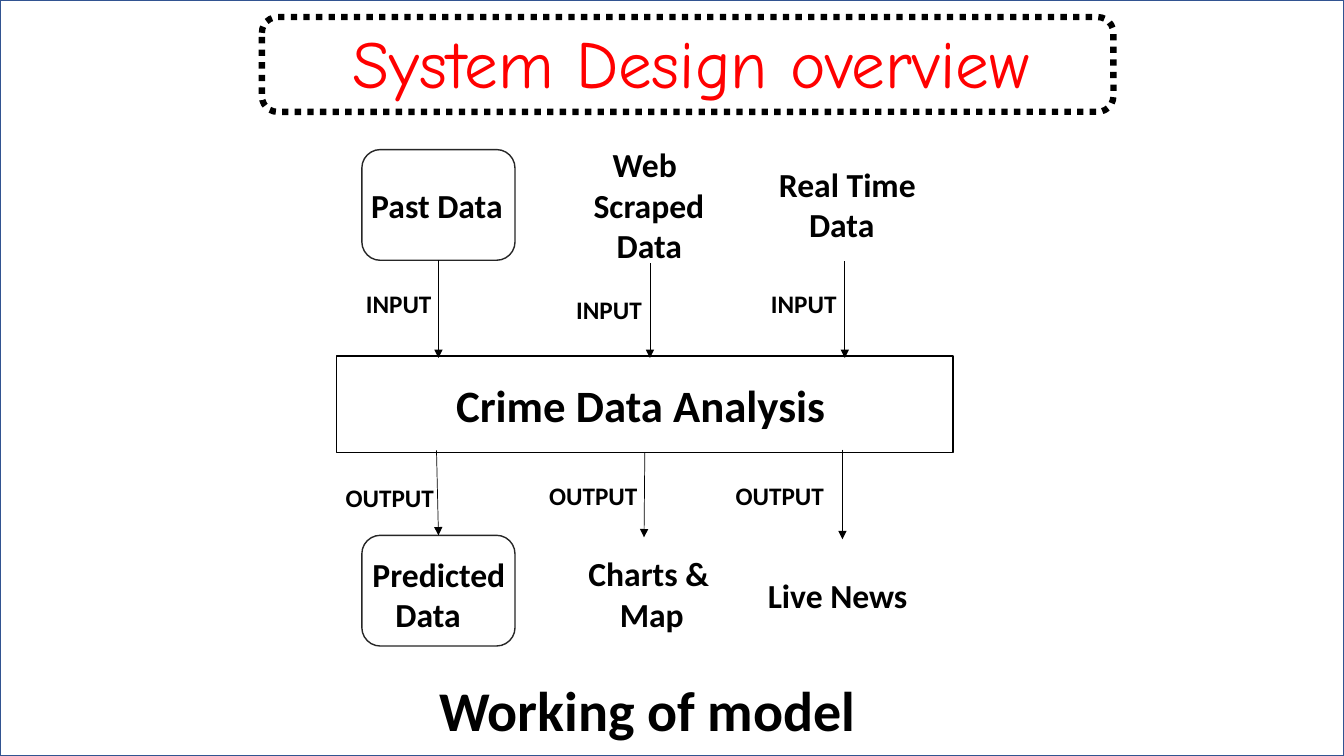
import pptx
import pptx.util
import pptx.dml.color
import pptx.enum.dml
import pptx.enum.shapes
import pptx.enum.text
import pptx.oxml
from pptx.oxml.ns import qn

Cm, Pt = pptx.util.Cm, pptx.util.Pt
RGBColor = pptx.dml.color.RGBColor
SHAPE = pptx.enum.shapes.MSO_SHAPE
ANCHOR = pptx.enum.text.MSO_ANCHOR
ALIGN = pptx.enum.text.PP_ALIGN
FIT = pptx.enum.text.MSO_AUTO_SIZE

BLACK = RGBColor(0x00, 0x00, 0x00)
RED = RGBColor(0xFF, 0x00, 0x00)
DARK = RGBColor(0x26, 0x26, 0x26)
BLUE = RGBColor(0x32, 0x54, 0x91)
PAGE_W, PAGE_H = 33.87, 19.05


def add_run(p, text, size, color=BLACK, font="Calibri", bold=True):
    r = p.add_run()
    r.text = text
    r.font.size, r.font.name, r.font.bold = Pt(size), font, bold
    r.font.color.rgb = color


def write_lines(tf, lines, size, align=ALIGN.LEFT):
    """Each line is a (text, left indent in cm) pair."""
    for i, (text, indent) in enumerate(lines):
        p = tf.paragraphs[0] if i == 0 else tf.add_paragraph()
        p.alignment = align
        if indent:
            p._p.get_or_add_pPr().set("marL", str(Cm(indent)))
        add_run(p, text, size)


def add_outline(s, kind, x, y, w, h, color, width):
    sp = s.shapes.add_shape(kind, Cm(x), Cm(y), Cm(w), Cm(h))
    sp.shadow.inherit = False
    sp.fill.background()
    sp.line.color.rgb = color
    sp.line.width = Pt(width)
    return sp


def add_label(s, x, y, w, h, lines, size):
    tf = s.shapes.add_textbox(Cm(x), Cm(y), Cm(w), Cm(h)).text_frame
    tf.word_wrap = False
    tf.auto_size = FIT.SHAPE_TO_FIT_TEXT
    write_lines(tf, lines, size)


def add_arrow(s, x1, y1, x2, y2):
    c = s.shapes.add_connector(pptx.enum.shapes.MSO_CONNECTOR.STRAIGHT,
                               Cm(x1), Cm(y1), Cm(x2), Cm(y2))
    c.line.color.rgb = BLACK
    c.line.width = Pt(0.5)
    ln = c.line._get_or_add_ln()
    ln.append(pptx.oxml.parse_xml(
        '<a:tailEnd xmlns:a="http://schemas.openxmlformats.org/drawingml/2006/main" type="triangle"/>'))
    c._element.spPr.append(c._element.spPr.makeelement(qn("a:effectLst"), {}))
    return c


def title_region(s, x, y, w, h):
    # Title text
    sp = s.shapes.title
    sp.left, sp.top, sp.width, sp.height = Cm(x), Cm(y), Cm(w), Cm(h)
    tf = sp.text_frame
    tf.word_wrap = True
    tf.auto_size = FIT.NONE
    tf.vertical_anchor = ANCHOR.BOTTOM
    p = tf.paragraphs[0]
    p.alignment = ALIGN.CENTER
    p.line_spacing = 0.9
    add_run(p, "System Design overview", 48, RED, "Comic Neue", False)
    # Dotted frame
    frame = add_outline(s, SHAPE.ROUNDED_RECTANGLE, x + 3.2, y + 0.1, w - 6.56, h, BLACK, 4.5)
    frame.line.dash_style = pptx.enum.dml.MSO_LINE.ROUND_DOT


def analysis_box(s, x, y, w, h):
    sp = add_outline(s, SHAPE.RECTANGLE, x, y, w, h, BLACK, 1)
    tf = sp.text_frame
    tf.word_wrap = True
    tf.margin_right = Cm(0.45)
    tf.vertical_anchor = ANCHOR.MIDDLE
    write_lines(tf, [("Crime Data Analysis", 0)], 32, ALIGN.CENTER)
    return sp


def data_row(s, x, y, box_y, boxed, left, top, nodes, caption, captions, arrows):
    """Draws one boxed node, the plain nodes and their captioned arrows."""
    # Boxed node
    sp = add_outline(s, SHAPE.ROUNDED_RECTANGLE, x + 0.64, y + box_y, 3.86, 2.79, DARK, 1)
    tf = sp.text_frame
    tf.word_wrap = True
    tf.margin_left, tf.margin_right = Cm(left), 0
    tf.margin_top, tf.margin_bottom = Cm(top), 0
    tf.vertical_anchor = ANCHOR.MIDDLE
    write_lines(tf, boxed, 24)
    # Plain nodes
    for dx, dy, w, h, lines in nodes:
        add_label(s, x + dx, y + dy, w, h, lines, 24)
    # Captions beside the arrows
    for dx, dy in captions:
        add_label(s, x + dx, y + dy, 2.77, 1.02, [(caption, 0)], 18)
    # Arrows
    return sp, [add_arrow(s, x + x1, y + y1, x + x2, y + y2) for x1, y1, x2, y2 in arrows]


def model_region(s, x, y):
    analysis = analysis_box(s, x, y + 5.46, 15.54, 2.44)
    # Inputs
    past, inputs = data_row(
        s, x, y, 0.26, [("Past Data", 0)], 0.1, 0,
        [(6.23, 0, 3.53, 3.33, [("Web", 0.48), ("Scraped", 0), ("Data", 0.58)]),
         (10.9, 0.5, 3.99, 2.31, [("Real Time", 0), ("Data", 0.76)])],
        "INPUT", [(0.49, 3.63), (5.79, 3.78), (10.7, 3.63)],
        [(2.57, 3.05, 2.57, 5.51), (7.9, 3.12, 7.9, 5.51), (12.81, 3.07, 12.81, 5.51)])
    inputs[0].begin_connect(past, 2)
    # Outputs
    predicted, outputs = data_row(
        s, x, y + 7.82, 2.16, [("Predicted", 0), ("Data", 0.58)], 0.13, 0.18,
        [(6.1, 2.49, 3.58, 2.31, [("Charts &", 0), ("Map", 0.79)]),
         (10.62, 3.02, 4.06, 1.27, [("Live News", 0)])],
        "OUTPUT", [(-0.02, 0.7), (5.11, 0.65), (9.81, 0.65)],
        [(2.52, 0.02, 2.57, 2.16), (7.8, 0.08, 7.75, 2.21), (12.75, 0, 12.75, 2.26)])
    outputs[0].end_connect(predicted, 0)
    outputs[1].begin_connect(analysis, 2)
    # Caption of the diagram
    add_label(s, x + 2.34, y + 13.38, 11.13, 1.96, [("Working of model", 0)], 40)


def main():
    prs = pptx.Presentation()
    prs.slide_width, prs.slide_height = Cm(PAGE_W), Cm(PAGE_H)
    s = prs.slides.add_slide(prs.slide_layouts[5])
    title_region(s, 3.4, 0.33, 28.02, 2.39)
    add_outline(s, SHAPE.RECTANGLE, 0, 0, PAGE_W, PAGE_H, BLUE, 1)  # page border
    model_region(s, 8.48, 3.51)
    prs.save("out.pptx")


if __name__ == "__main__":
    main()
